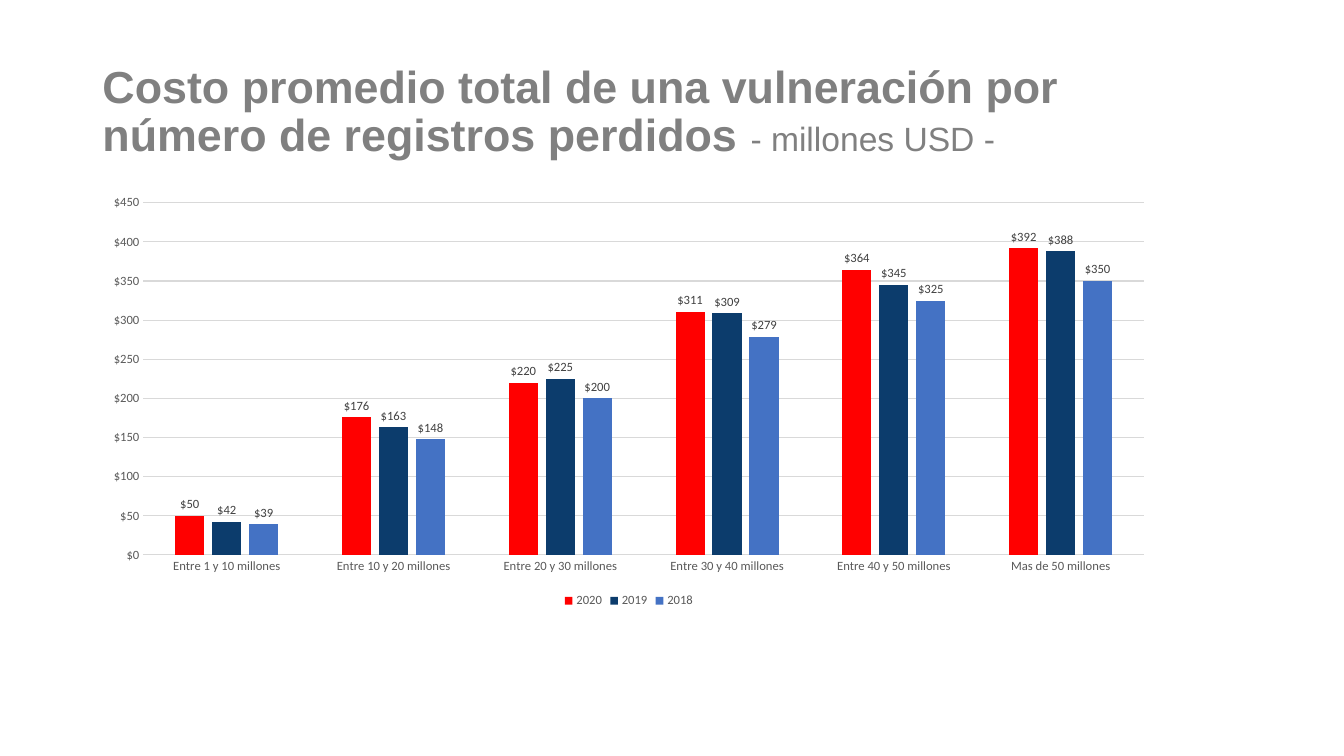
from dataclasses import dataclass

from pptx import Presentation
from pptx.chart.data import CategoryChartData
from pptx.dml.color import RGBColor
from pptx.enum.chart import XL_CHART_TYPE, XL_LABEL_POSITION, XL_LEGEND_POSITION, XL_TICK_MARK
from pptx.enum.text import MSO_ANCHOR, MSO_AUTO_SIZE, PP_ALIGN
from pptx.util import Emu, Pt

CLUSTERED = XL_CHART_TYPE.COLUMN_CLUSTERED
OUTSIDE_END = XL_LABEL_POSITION.OUTSIDE_END
BOTTOM = XL_LEGEND_POSITION.BOTTOM
NO_TICK = XL_TICK_MARK.NONE
MIDDLE = MSO_ANCHOR.MIDDLE
SHRINK = MSO_AUTO_SIZE.TEXT_TO_FIT_SHAPE
LEFT = PP_ALIGN.LEFT

EMU_PER_PX = 9525
TITLE_ONLY = 5


@dataclass(frozen=True)
class Theme:
    title_font: str = "Arial"
    chart_font: str = "Calibri"
    title_size: int = 32
    unit_size: int = 24
    chart_size: int = 10
    label_size: int = 9
    title: str = "808080"
    chart_text: str = "000000"
    axis_text: str = "595959"
    value_text: str = "404040"
    grid: str = "D9D9D9"
    years: tuple = ("FF0000", "0C3C6C", "4472C4")


THEME = Theme()

TITLE = "Costo promedio total de una vulneración por número de registros perdidos "
UNIT = "- millones USD -"
DOLLARS = '"$"#,##0'
RECORD_RANGES = [f"Entre {low} y {low + 10 if low > 1 else 10} millones"
                 for low in (1, 10, 20, 30, 40)] + ["Mas de 50 millones"]
COST_BY_YEAR = {
    "2020": (50, 176, 220, 311, 364, 392),
    "2019": (42, 163, 225, 309, 345, 388),
    "2018": (39, 148, 200, 279, 325, 350),
}


def px(length):
    return Emu(length * EMU_PER_PX)


def format_font(font, *, name, size, color, bold=False):
    font.name = name
    font.size = Pt(size)
    font.bold = bold
    font.color.rgb = RGBColor.from_string(color)


def add_text(paragraph, text, **font_format):
    run = paragraph.add_run()
    run.text = text
    format_font(run.font, **font_format)


def format_chart_font(font, color):
    format_font(font, name=THEME.chart_font, size=THEME.label_size, color=color)


def format_line(line):
    line.color.rgb = RGBColor.from_string(THEME.grid)
    line.width = Pt(0.75)


def place_title(slide):
    title = slide.shapes.title
    title.left, title.top, title.width, title.height = map(px, (88, 38, 1097, 139))
    frame = title.text_frame
    frame.word_wrap = True
    frame.auto_size = SHRINK
    frame.vertical_anchor = MIDDLE
    heading = frame.paragraphs[0]
    heading.alignment = LEFT
    heading.line_spacing = 0.9
    shared = {"name": THEME.title_font, "color": THEME.title}
    add_text(heading, TITLE, size=THEME.title_size, bold=True, **shared)
    add_text(heading, UNIT, size=THEME.unit_size, **shared)


def format_axes(chart):
    ranges, costs = chart.category_axis, chart.value_axis
    for axis in (ranges, costs):
        axis.major_tick_mark = axis.minor_tick_mark = NO_TICK
        format_chart_font(axis.tick_labels.font, THEME.axis_text)
    format_line(ranges.format.line)

    costs.minimum_scale, costs.maximum_scale, costs.major_unit = 0, 450, 50
    costs.tick_labels.number_format = DOLLARS
    costs.tick_labels.number_format_is_linked = False
    costs.format.line.fill.background()
    costs.has_major_gridlines = True
    format_line(costs.major_gridlines.format.line)


def format_year(year, color):
    year.format.fill.solid()
    year.format.fill.fore_color.rgb = RGBColor.from_string(color)
    year.format.line.fill.background()
    year.invert_if_negative = False
    labels = year.data_labels
    labels.show_value = True
    labels.position = OUTSIDE_END
    labels.number_format = DOLLARS
    labels.number_format_is_linked = False
    format_chart_font(labels.font, THEME.value_text)


def add_cost_chart(slide):
    data = CategoryChartData(number_format=DOLLARS)
    data.categories = RECORD_RANGES
    for year, costs in COST_BY_YEAR.items():
        data.add_series(year, costs)
    chart = slide.shapes.add_chart(CLUSTERED, *map(px, (88, 178, 1022, 405)), data).chart
    chart.has_title = False
    format_font(chart.font, name=THEME.chart_font, size=THEME.chart_size,
                color=THEME.chart_text)
    format_axes(chart)

    # Columns, one colour per year
    plot = chart.plots[0]
    plot.gap_width = 219
    plot.overlap = -27
    plot.vary_by_categories = False
    for year, color in zip(plot.series, THEME.years):
        format_year(year, color)

    # Legend
    chart.has_legend = True
    chart.legend.position = BOTTOM
    chart.legend.include_in_layout = False
    format_chart_font(chart.legend.font, THEME.axis_text)


def main():
    presentation = Presentation()
    presentation.slide_width, presentation.slide_height = px(1280), px(720)
    slide = presentation.slides.add_slide(presentation.slide_layouts[TITLE_ONLY])
    place_title(slide)
    add_cost_chart(slide)
    presentation.save("out.pptx")


if __name__ == "__main__":
    main()
